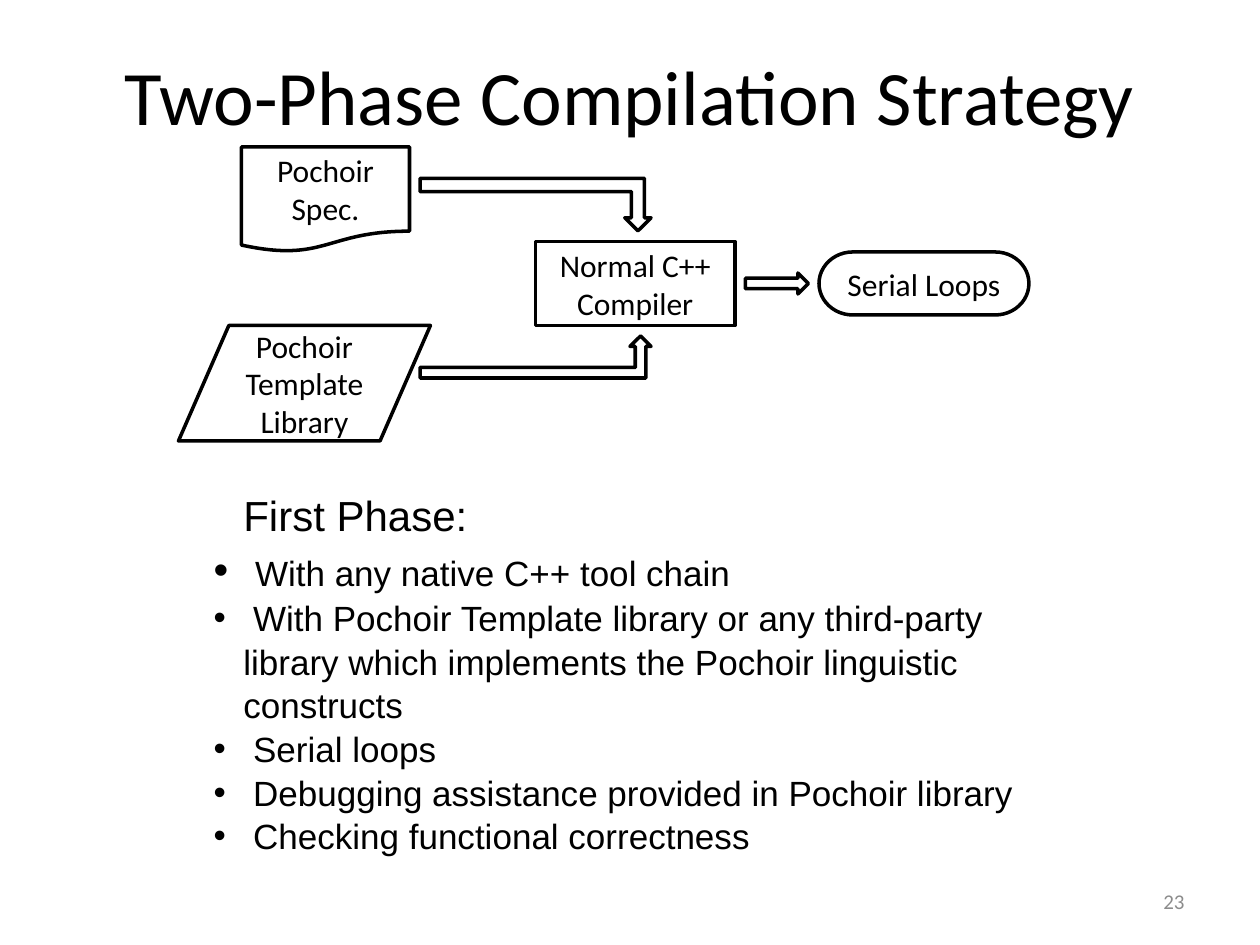
from lxml.etree import SubElement
from pptx import Presentation
from pptx.dml.color import RGBColor
from pptx.enum.shapes import MSO_SHAPE
from pptx.enum.text import MSO_ANCHOR, PP_ALIGN
from pptx.oxml.ns import qn
from pptx.util import Pt

BLACK = RGBColor(0x00, 0x00, 0x00)
WHITE = RGBColor(0xFF, 0xFF, 0xFF)
GRAY = RGBColor(0x8C, 0x8C, 0x8C)

STAGE_FONT = {"name": "Calibri", "size": Pt(18)}
TITLE_FONT = {"name": "Calibri", "size": Pt(44)}
NUMBER_FONT = {"name": "Calibri", "size": Pt(12)}
HEADING_FONT = {"name": "Arial", "size": Pt(24)}
POINT_FONT = {"name": "Arial", "size": Pt(20)}

STAGES = [
    (MSO_SHAPE.FLOWCHART_DOCUMENT, (138, 84, 96, 60), ["Pochoir", "Spec."]),
    (MSO_SHAPE.FLOWCHART_DATA, (102, 186, 144, 66), ["Pochoir Template Library"]),
    (MSO_SHAPE.FLOWCHART_PROCESS, (306, 138, 114, 48), ["Normal C++ Compiler"]),
    (MSO_SHAPE.FLOWCHART_TERMINATOR, (468, 144, 120, 36), ["Serial Loops"]),
]
ARROWS = [
    (MSO_SHAPE.RIGHT_ARROW, (426, 156, 36, 12), False),
    (MSO_SHAPE.BENT_UP_ARROW, (240, 102, 132, 30), True),
    (MSO_SHAPE.BENT_UP_ARROW, (240, 192, 132, 24), False),
]
FIRST_POINT = "With any native C++ tool chain"
OTHER_POINTS = [
    " With Pochoir Template library or any third-party library which "
    "implements the Pochoir linguistic constructs",
    " Serial loops",
    " Debugging assistance provided in Pochoir library",
    " Checking functional correctness",
]


def apply_format(target, values):
    for attribute, value in values.items():
        setattr(target, attribute, value)


def add_words(paragraph, words, font_format, color=BLACK):
    run = paragraph.add_run()
    run.text = words
    apply_format(run.font, font_format)
    run.font.color.rgb = color


def next_paragraph(frame):
    first = frame.paragraphs[0]
    return frame.add_paragraph() if first.runs else first


def add_outline(slide, preset, box):
    outline = slide.shapes.add_shape(preset, *map(Pt, box))
    outline.shadow.inherit = False
    outline.fill.solid()
    outline.fill.fore_color.rgb = WHITE
    outline.line.color.rgb = BLACK
    outline.line.width = Pt(2)
    return outline


def add_stage(slide, preset, box, lines):
    frame = add_outline(slide, preset, box).text_frame
    apply_format(frame, {"word_wrap": True, "vertical_anchor": MSO_ANCHOR.MIDDLE})
    for line in lines:
        paragraph = next_paragraph(frame)
        paragraph.alignment = PP_ALIGN.CENTER
        add_words(paragraph, line, STAGE_FONT)


def add_arrow(slide, preset, box, flipped):
    arrow = add_outline(slide, preset, box)
    if flipped:
        arrow.element.spPr.find(qn("a:xfrm")).set("flipV", "1")


def add_frame(slide, box, **frame_format):
    frame = slide.shapes.add_textbox(*map(Pt, box)).text_frame
    apply_format(frame, {"word_wrap": True, **frame_format})
    return frame


def add_label(slide, box, words, font_format, color, alignment, **frame_format):
    paragraph = add_frame(slide, box, **frame_format).paragraphs[0]
    paragraph.alignment = alignment
    add_words(paragraph, words, font_format, color)


def add_phase_paragraph(frame, pieces, bulleted=True, space_before=0):
    paragraph = next_paragraph(frame)
    properties = paragraph._p.get_or_add_pPr()
    properties.set("marL", str(Pt(36)))
    properties.set("indent", str(Pt(-17) if bulleted else 0))
    if bulleted:
        SubElement(properties, qn("a:buFont")).set("typeface", "Arial")
        SubElement(properties, qn("a:buChar")).set("char", "•")
    apply_format(paragraph, {"line_spacing": 1.04, "space_before": Pt(space_before)})
    for words, font_format in pieces:
        add_words(paragraph, words, font_format)


def add_phase(slide):
    frame = add_frame(slide, (96, 275, 510, 211))
    add_phase_paragraph(frame, [("First Phase:", HEADING_FONT)], bulleted=False)
    add_phase_paragraph(
        frame, [(" ", HEADING_FONT), (FIRST_POINT, POINT_FONT)], space_before=1.5
    )
    for point in OTHER_POINTS:
        add_phase_paragraph(frame, [(point, POINT_FONT)])


def main():
    presentation = Presentation()
    apply_format(presentation, {"slide_width": Pt(720), "slide_height": Pt(540)})
    slide = presentation.slides.add_slide(presentation.slide_layouts[6])
    for stage in STAGES:
        add_stage(slide, *stage)
    for arrow in ARROWS:
        add_arrow(slide, *arrow)
    add_label(slide, (36, 21.6, 648, 90), "Two-Phase Compilation Strategy",
              TITLE_FONT, BLACK, PP_ALIGN.CENTER, margin_top=Pt(6))
    add_phase(slide)
    add_label(slide, (516, 500.5, 168, 28.75), "23",
              NUMBER_FONT, GRAY, PP_ALIGN.RIGHT, vertical_anchor=MSO_ANCHOR.MIDDLE)
    presentation.save("out.pptx")


if __name__ == "__main__":
    main()
